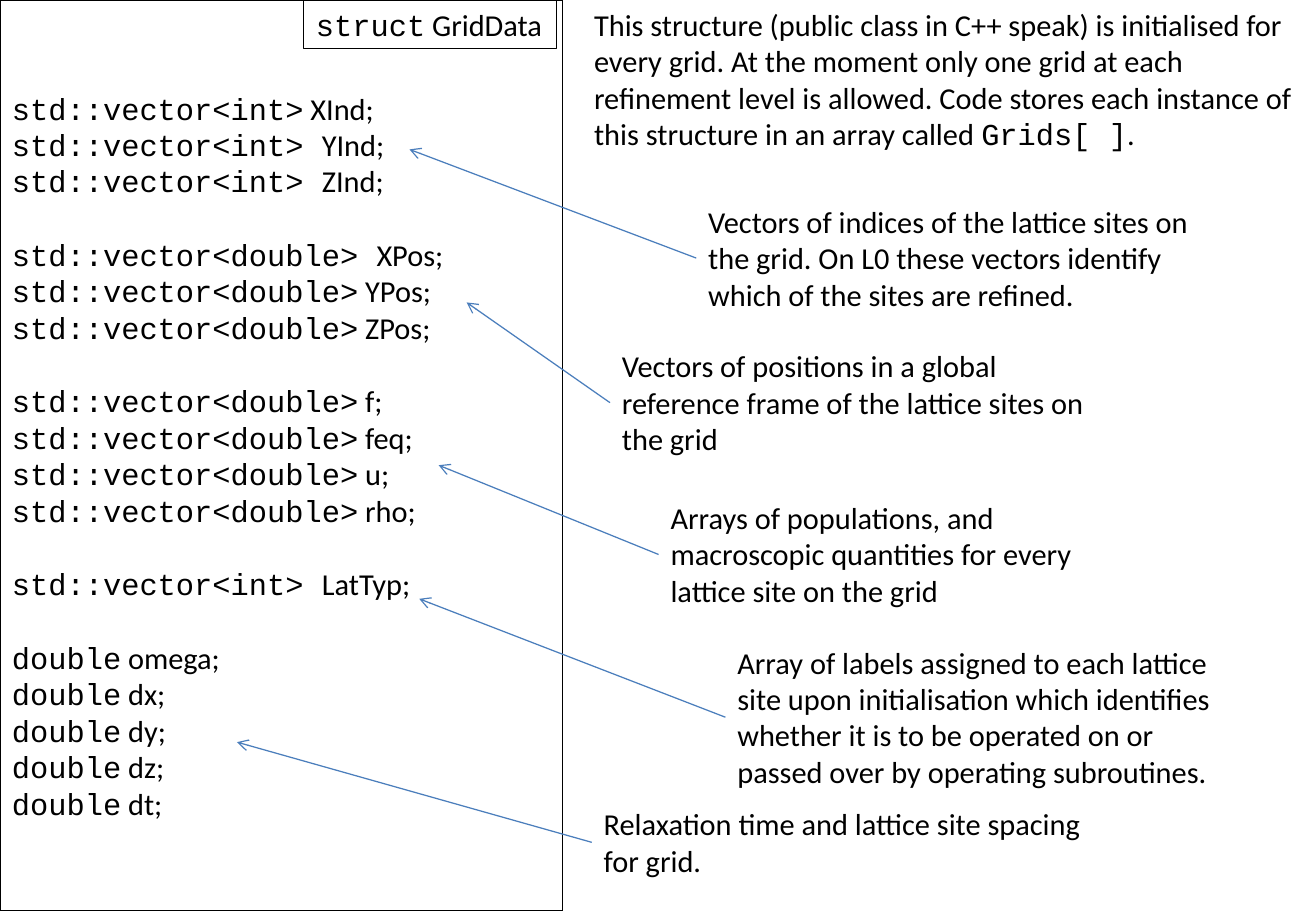
from lxml import etree
from pptx import Presentation
from pptx.dml.color import RGBColor
from pptx.enum.shapes import MSO_CONNECTOR, MSO_SHAPE
from pptx.enum.text import MSO_ANCHOR, MSO_AUTO_SIZE, PP_ALIGN
from pptx.oxml.ns import qn
from pptx.util import Inches, Pt

STRAIGHT, RECT = MSO_CONNECTOR.STRAIGHT, MSO_SHAPE.RECTANGLE
TOP, MIDDLE = MSO_ANCHOR.TOP, MSO_ANCHOR.MIDDLE
LEFT, NO_AUTOFIT = PP_ALIGN.LEFT, MSO_AUTO_SIZE.NONE
LEFT_SIDE = 1

COLORS = {"black": "000000", "white": "FFFFFF", "arrow": "4B7EBC"}
BODY, CODE = "Calibri", "Courier New"
TEXT_SIZE, GROUP_GAP = 18, 22  # points

# Each line is a list of (text, font) runs
TITLE = [[("struct", CODE), (" GridData", BODY)]]
INTRO = [[
    ("This structure (public class in C++ speak) is initialised for every grid. "
     "At the moment only one grid at each refinement level is allowed. "
     "Code stores each instance of this structure in an array called ", BODY),
    ("Grids[ ]", CODE),
    (".", BODY),
]]

# Members by group: (type, name, font of the space between them)
MEMBER_GROUPS = [
    [("std::vector<int>", "XInd", BODY),
     ("std::vector<int>", "YInd", CODE),
     ("std::vector<int>", "ZInd", CODE)],
    [("std::vector<double>", "XPos", CODE),
     ("std::vector<double>", "YPos", BODY),
     ("std::vector<double>", "ZPos", BODY)],
    [("std::vector<double>", name, BODY) for name in ("f", "feq", "u", "rho")],
    [("std::vector<int>", "LatTyp", CODE)],
    [("double", name, BODY) for name in ("omega", "dx", "dy", "dz", "dt")],
]

# (text, left, top, height, arrow tip)
NOTES = [
    ("Vectors of indices of the lattice sites on the grid. On L0 these vectors "
     "identify which of the sites are refined.", 5.73, 1.62, 1.01, (3.37, 1.23)),
    ("Vectors of positions in a global reference frame of the lattice sites on "
     "the grid", 5.02, 2.81, 1.01, (3.84, 2.49)),
    ("Arrays of populations, and macroscopic quantities for every lattice site "
     "on the grid", 5.42, 4.06, 1.01, (3.61, 3.83)),
    ("Array of labels assigned to each lattice site upon initialisation which "
     "identifies whether it is to be operated on or passed over by operating "
     "subroutines.", 5.97, 5.25, 1.31, (3.45, 4.93)),
    ("Relaxation time and lattice site spacing for grid.",
     4.87, 6.58, 0.71, (1.95, 6.11)),
]
NOTE_WIDTH = 4.17


def rgb(name):
    return RGBColor.from_string(COLORS[name])


def inches(*values):
    return [Inches(v) for v in values]


def set_line(line, color, width):
    line.color.rgb = rgb(color)
    line.width = Pt(width)


def write(sp, lines, wrap=True, anchor=TOP, gaps=()):
    """Fill a shape with lines of runs; gaps holds the lines with space before."""
    tf = sp.text_frame
    frame_format = {"auto_size": NO_AUTOFIT, "word_wrap": wrap,
                    "vertical_anchor": anchor}
    for key, value in frame_format.items():
        setattr(tf, key, value)
    for i, runs in enumerate(lines):
        p = tf.paragraphs[0] if i == 0 else tf.add_paragraph()
        p.alignment = LEFT
        p.space_before = Pt(GROUP_GAP if i in gaps else 0)
        for text, font in runs:
            r = p.add_run()
            r.text = text
            r.font.name = font
            r.font.size = Pt(TEXT_SIZE)
            r.font.color.rgb = rgb("black")


def add_text(s, lines, *box):
    sp = s.shapes.add_textbox(*inches(*box))
    write(sp, lines)
    return sp


def add_arrow(s, note, tip):
    x, y = inches(*tip)
    arrow = s.shapes.add_connector(STRAIGHT, note.left, note.top, x, y)
    arrow.begin_connect(note, LEFT_SIDE)
    set_line(arrow.line, "arrow", 0.75)
    etree.SubElement(arrow.line._get_or_add_ln(), qn("a:tailEnd"), type="arrow")
    etree.SubElement(arrow._element.spPr, qn("a:effectLst"))


def add_members(s):
    lines, gaps = [], []
    for group in MEMBER_GROUPS:
        if lines:
            gaps.append(len(lines))
        for kind, name, space_font in group:
            if space_font == CODE:
                lines.append([(kind + " ", CODE), (name + ";", BODY)])
            else:
                lines.append([(kind, CODE), (" " + name + ";", BODY)])
    panel = s.shapes.add_shape(RECT, *inches(0, 0, 4.63, 7.5))
    panel.shadow.inherit = False
    panel.fill.solid()
    panel.fill.fore_color.rgb = rgb("white")
    set_line(panel.line, "black", 1)
    write(panel, lines, anchor=MIDDLE, gaps=gaps)


def add_title(s):
    title = s.shapes.title
    box = dict(zip(("left", "top", "width", "height"), inches(2.5, 0, 2.08, 0.4)))
    for key, value in box.items():
        setattr(title, key, value)
    set_line(title.line, "black", 0.75)
    write(title, TITLE, wrap=False)
    s.shapes._spTree.append(title._element)  # bring in front of the panel


def main():
    prs = Presentation()
    prs.slide_width, prs.slide_height = inches(10.83, 7.5)
    s = prs.slides.add_slide(prs.slide_layouts[5])
    add_members(s)
    add_title(s)
    add_text(s, INTRO, 4.79, 0, 6.05, 1.31)
    for text, left, top, height, tip in NOTES:
        note = add_text(s, [[(text, BODY)]], left, top, NOTE_WIDTH, height)
        add_arrow(s, note, tip)
    prs.save("out.pptx")


if __name__ == "__main__":
    main()
